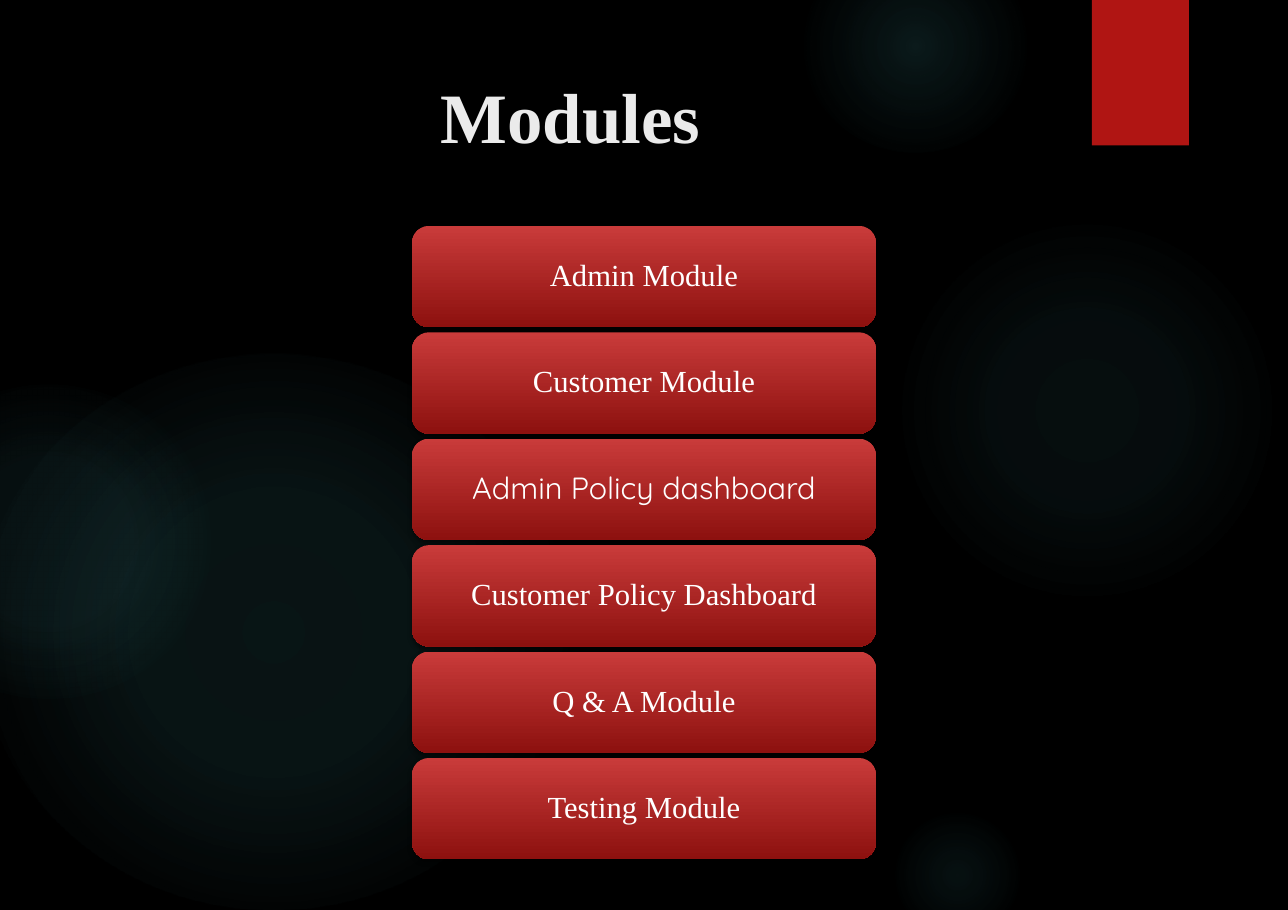
from dataclasses import dataclass

from lxml.etree import SubElement
from pptx import Presentation
from pptx.dml.color import RGBColor
from pptx.enum.shapes import MSO_SHAPE
from pptx.enum.text import MSO_ANCHOR, PP_ALIGN
from pptx.oxml import parse_xml
from pptx.oxml.ns import nsdecls, qn
from pptx.util import Inches, Pt


@dataclass(frozen=True)
class Theme:
    background: str = "000000"
    glow: str = "50B9C1"
    ribbon: str = "B01513"
    button_top: str = "C93B3A"
    button_bottom: str = "8D110F"
    shadow: str = "000000"
    title: str = "EBEBEB"
    label: str = "FFFFFF"
    serif: str = "Times New Roman"
    sans: str = "Quicksand"
    title_size: float = 46.3
    label_size: float = 20


# left, top, width, height, then (position %, opacity %) from the centre out
GLOWS = [
    (8.06, 2.02, 3.61, 3.4, [(0, 7), (36, 6), (69, 0)]),
    (7.28, -0.55, 2.05, 1.93, [(0, 14), (36, 7), (73, 0)]),
    (8.06, 7.35, 1.27, 1.19, [(0, 9), (36, 5), (66, 0)]),
    (-0.2, 3.21, 5.36, 5.05, [(0, 11), (36, 10), (75, 0)]),
    (-1.07, 3.49, 3.02, 2.85, [(0, 8), (36, 8), (72, 0)]),
]
MODULES = [
    ("Admin Module", "serif"),
    ("Customer Module", "serif"),
    ("Admin Policy dashboard", "sans"),
    ("Customer Policy Dashboard", "serif"),
    ("Q & A Module", "serif"),
    ("Testing Module", "serif"),
]
FIRST_TOP, LAST_TOP = 2.05, 6.88
CIRCLE = ('<a:path path="circle"><a:fillToRect l="50000" t="50000" '
          'r="50000" b="50000"/></a:path>')
DOWNWARD = '<a:lin ang="5400000" scaled="0"/>'


class SlideBuilder:
    def __init__(self, slide, theme):
        self.slide = slide
        self.theme = theme
        fill = slide.background.fill
        fill.solid()
        fill.fore_color.rgb = RGBColor.from_string(theme.background)

    def shape(self, kind, left, top, width, height):
        sp = self.slide.shapes.add_shape(
            kind, Inches(left), Inches(top), Inches(width), Inches(height))
        sp.line.fill.background()
        sp.shadow.inherit = False
        return sp

    def gradient(self, sp, stops, direction):
        """Fill with (position %, colour, opacity %) stops."""
        gs = "".join(
            f'<a:gs pos="{pos * 1000}"><a:srgbClr val="{color}">'
            f'<a:alpha val="{opacity * 1000}"/></a:srgbClr></a:gs>'
            for pos, color, opacity in stops)
        fill = parse_xml(f'<a:gradFill {nsdecls("a")} rotWithShape="1">'
                         f'<a:gsLst>{gs}</a:gsLst>{direction}</a:gradFill>')
        sp._element.spPr.find(qn("a:prstGeom")).addnext(fill)

    def drop_shadow(self, sp):
        effects = sp._element.spPr.find(qn("a:effectLst"))
        shadow = SubElement(effects, qn("a:outerShdw"), blurRad=str(Pt(3)),
                            dist=str(Pt(2)), dir="5400000", rotWithShape="0")
        color = SubElement(shadow, qn("a:srgbClr"), val=self.theme.shadow)
        SubElement(color, qn("a:alpha"), val="45000")

    def set_text(self, tf, text, font, size, color, bold=False):
        tf.word_wrap = True
        p = tf.paragraphs[0]
        p.text = text
        p.font.name = font
        p.font.size = Pt(size)
        p.font.bold = bold
        p.font.color.rgb = RGBColor.from_string(color)
        return p

    def glow(self, left, top, width, height, fade):
        sp = self.shape(MSO_SHAPE.OVAL, left, top, width, height)
        stops = [(pos, self.theme.glow, opacity) for pos, opacity in fade]
        self.gradient(sp, stops, CIRCLE)

    def ribbon(self):
        sp = self.shape(MSO_SHAPE.RECTANGLE, 9.91, 0, 0.88, 1.32)
        sp.fill.solid()
        sp.fill.fore_color.rgb = RGBColor.from_string(self.theme.ribbon)
        self.drop_shadow(sp)

    def title(self, text):
        t = self.theme
        box = self.slide.shapes.add_textbox(
            Inches(0.93), Inches(0.55), Inches(8.69), Inches(1.17))
        tf = box.text_frame
        tf.margin_left = Inches(3.07)
        tf.margin_top = Inches(0.11)
        self.set_text(tf, text, t.serif, t.title_size, t.title, bold=True)

    def button(self, top, text, font):
        t = self.theme
        sp = self.shape(MSO_SHAPE.ROUNDED_RECTANGLE, 3.74, top, 4.21, 0.92)
        self.gradient(sp, [(0, t.button_top, 100), (100, t.button_bottom, 100)],
                      DOWNWARD)
        self.drop_shadow(sp)
        tf = sp.text_frame
        tf.vertical_anchor = MSO_ANCHOR.MIDDLE
        p = self.set_text(tf, text, font, t.label_size, t.label)
        p.alignment = PP_ALIGN.CENTER
        p.line_spacing = 0.9


def main():
    prs = Presentation()
    prs.slide_width, prs.slide_height = Inches(11.69), Inches(8.26)
    theme = Theme()
    builder = SlideBuilder(prs.slides.add_slide(prs.slide_layouts[6]), theme)
    for glow in GLOWS:
        builder.glow(*glow)
    builder.ribbon()
    builder.title("Modules")
    fonts = {"serif": theme.serif, "sans": theme.sans}
    pitch = (LAST_TOP - FIRST_TOP) / (len(MODULES) - 1)
    for i, (name, face) in enumerate(MODULES):
        builder.button(FIRST_TOP + i * pitch, name, fonts[face])
    prs.save("out.pptx")


if __name__ == "__main__":
    main()
